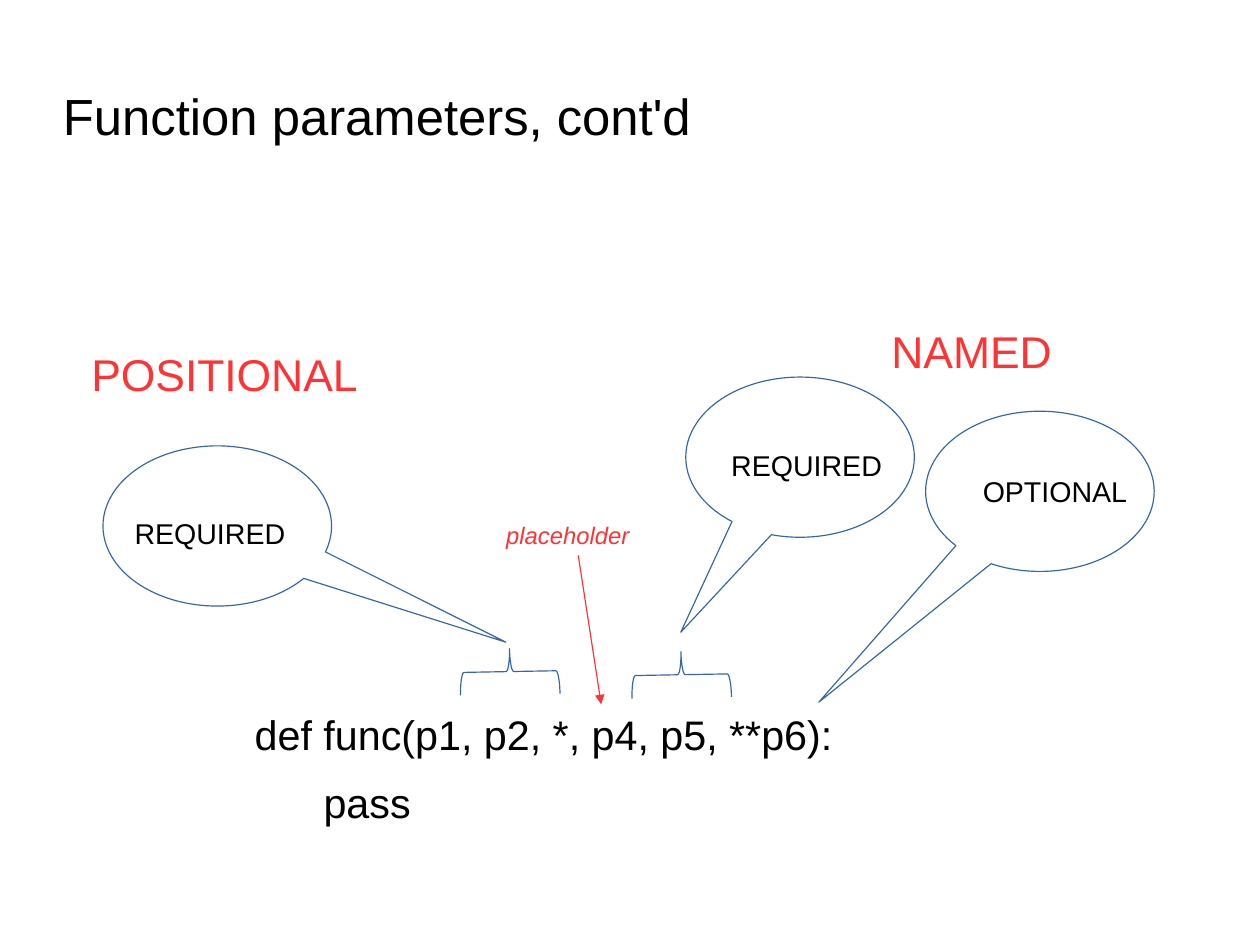
"""Builds a slide that explains positional and named function parameters."""
from lxml import etree
from pptx import Presentation
from pptx import util as u
from pptx.dml.color import RGBColor
from pptx.enum import shapes, text
from pptx.oxml import ns

BLACK = RGBColor(0x00, 0x00, 0x00)
RED = RGBColor(0xFF, 0x33, 0x33)
BLUE = RGBColor(0x34, 0x65, 0xAF)


def place(shape, left, top, width, height):
    """Move a placeholder to a position in centimetres."""
    shape.left, shape.top = u.Cm(left), u.Cm(top)
    shape.width, shape.height = u.Cm(width), u.Cm(height)


def format_text(frame, size, color, insets, italic=False):
    """Apply the shared text style to a frame."""
    frame.word_wrap = True
    frame.auto_size = text.MSO_AUTO_SIZE.NONE
    (frame.margin_left, frame.margin_top,
     frame.margin_right, frame.margin_bottom) = map(u.Cm, insets)
    for paragraph in frame.paragraphs:
        paragraph.alignment = text.PP_ALIGN.LEFT
        paragraph.line_spacing = 0.93
        paragraph.space_before = u.Pt(0)
        for run in paragraph.runs:
            run.font.name = "Arial"
            run.font.size = u.Pt(size)
            run.font.italic = italic
            run.font.color.rgb = color


def fill_title(title, wording):
    """Write the slide title."""
    place(title, 1.4, 1.6, 20, 2)
    title.text_frame.text = wording
    title.text_frame.vertical_anchor = text.MSO_ANCHOR.MIDDLE
    format_text(title.text_frame, 32, BLACK, (0, 0.08, 0, 0))


def fill_code(body, lines):
    """Write code lines, each with its margin and first-line indent."""
    place(body, 5.36, 15.77, 17.07, 2.62)
    frame = body.text_frame
    frame.text = "\n".join(wording for wording, _, _ in lines)
    format_text(frame, 26, BLACK, (0, 0.08, 0, 0))
    for paragraph, (_, margin, indent) in zip(frame.paragraphs, lines):
        paragraph.space_after = u.Pt(14.3)
        properties = paragraph._p.get_or_add_pPr()
        properties.set("marL", str(u.Cm(margin)))
        properties.set("indent", str(u.Cm(indent)))
        etree.SubElement(properties, ns.qn("a:buNone"))


def add_label(slide, wording, left, top, width, height, size, color, italic=False):
    """Add a free-standing label."""
    label = slide.shapes.add_textbox(*map(u.Cm, (left, top, width, height)))
    label.text_frame.text = wording
    format_text(label.text_frame, size, color, (0.25, 0.19, 0.25, 0.13), italic)


def add_outline(slide, preset, left, top, width, height):
    """Add an unfilled shape with a thin blue outline."""
    outline = slide.shapes.add_shape(preset, *map(u.Cm, (left, top, width, height)))
    outline.shadow.inherit = False
    outline.fill.background()
    outline.line.color.rgb = BLUE
    outline.line.width = u.Pt(0.75)
    return outline


def add_callout(slide, left, top, tip):
    """Add an oval callout whose tip is relative to its centre."""
    callout = add_outline(slide, shapes.MSO_SHAPE.OVAL_CALLOUT, left, top, 5.08, 3.56)
    callout.adjustments[0], callout.adjustments[1] = tip


def add_brace(slide, left, top):
    """Add a brace that opens down over a parameter group."""
    brace = add_outline(slide, shapes.MSO_SHAPE.LEFT_BRACE, left, top, 1.02, 2.21)
    brace.rotation = 89


def add_arrow(slide, start, end):
    """Add a thin red arrow."""
    arrow = slide.shapes.add_connector(
        shapes.MSO_CONNECTOR.STRAIGHT, *map(u.Cm, start + end))
    arrow.line.color.rgb = RED
    arrow.line.width = u.Pt(0.75)
    etree.SubElement(arrow.line._get_or_add_ln(), ns.qn("a:tailEnd"), type="triangle")
    etree.SubElement(arrow._element.spPr, ns.qn("a:effectLst"))


def main():
    """Build and save the slide."""
    deck = Presentation()
    deck.slide_width, deck.slide_height = u.Cm(28), u.Cm(21)
    slide = deck.slides.add_slide(deck.slide_layouts[1])

    fill_title(slide.shapes.title, "Function parameters, cont'd")
    fill_code(slide.placeholders[1], [
        ("def func(p1, p2, *, p4, p5, **p6):", 1.2, -0.9),
        ("pass", 1.83, 0),
    ])

    for left, top, tip in [(20.57, 9.14, (-0.967, 1.316)),
                           (15.24, 8.38, (-0.522, 1.093)),
                           (2.29, 9.91, (1.262, 0.725))]:
        add_callout(slide, left, top, tip)
    for left, top in [(14.63, 13.89), (10.82, 13.82)]:
        add_brace(slide, left, top)

    for kind, left, top in [("POSITIONAL", 1.78, 7.62), ("NAMED", 19.56, 7.11)]:
        add_label(slide, kind, left, top, 7.37, 1.52, 28, RED)
    for need, left, top in [("REQUIRED", 2.74, 11.35),
                            ("REQUIRED", 16, 9.83),
                            ("OPTIONAL", 21.59, 10.41)]:
        add_label(slide, need, left, top, 4.06, 1.27, 18, BLACK)
    add_label(slide, "placeholder", 11, 11.43, 3.5, 0.84, 15, RED, italic=True)
    add_arrow(slide, (12.85, 12.34), (13.36, 15.65))

    deck.save("out.pptx")


if __name__ == "__main__":
    main()
